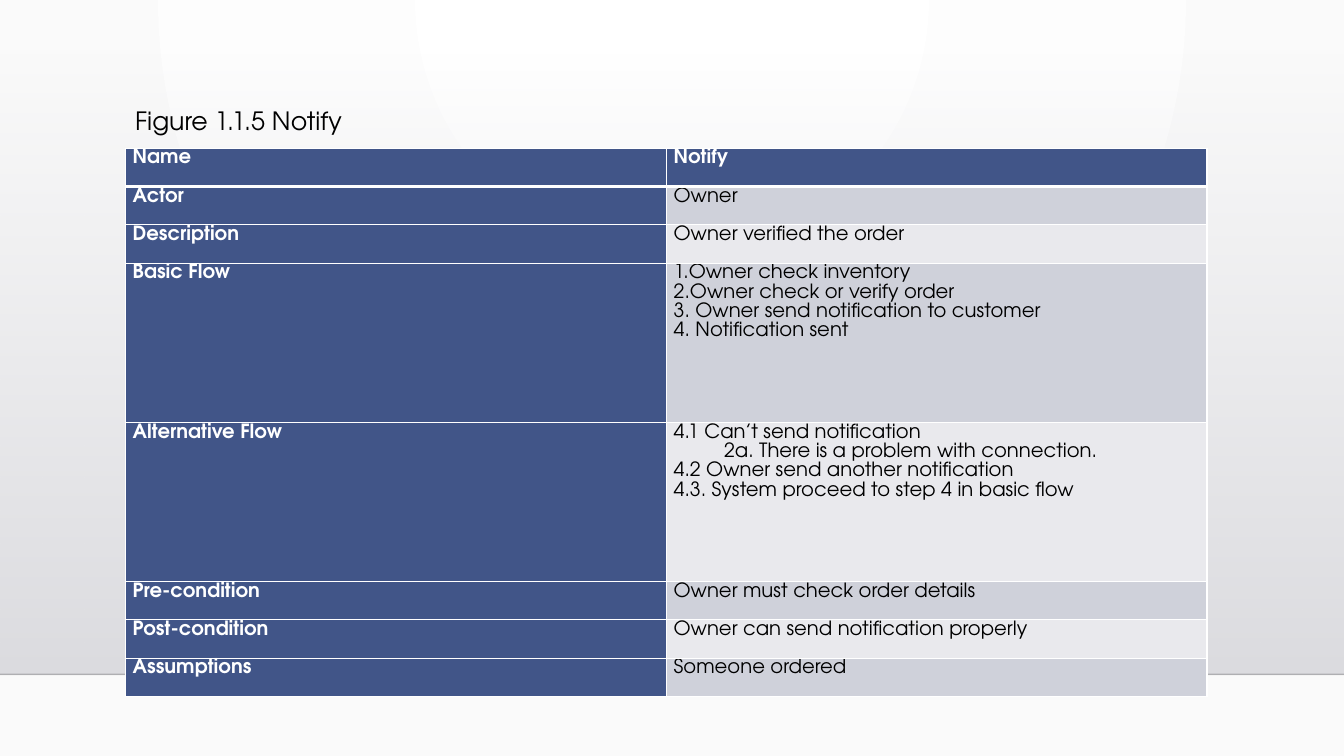
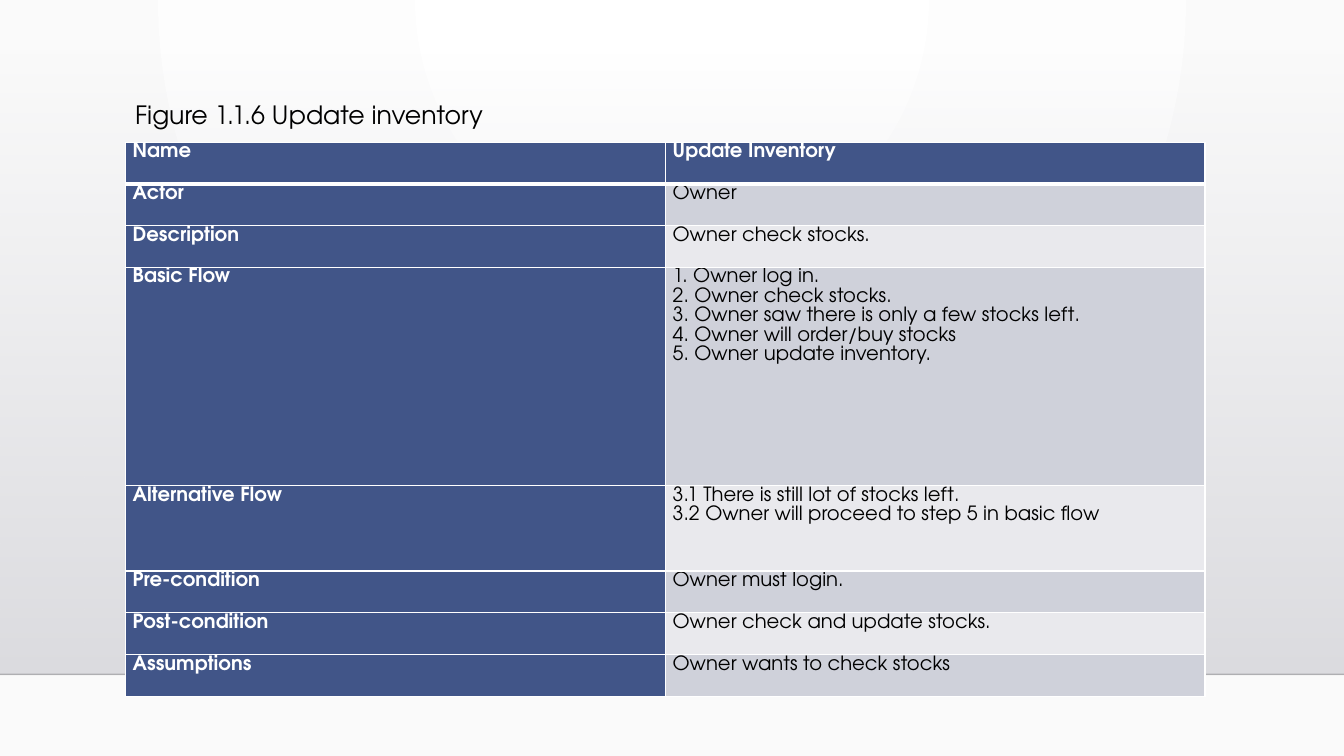
"""Build two use-case slides, each with a caption above a two-column table."""
from lxml.etree import SubElement
from pptx import Presentation
from pptx.dml.color import RGBColor
from pptx.enum.shapes import MSO_CONNECTOR, MSO_SHAPE
from pptx.oxml import parse_xml
from pptx.oxml.ns import nsdecls, qn
from pptx.util import Pt

COLORS = {
    "header": "415588", "odd": "CFD1DA", "even": "E9E9ED",
    "white": "FFFFFF", "black": "000000", "floor": "FAFAFA",
    "panel_top": "DCDCE0", "panel_bottom": "DEDEE2", "horizon": "000001",
}
FONT = "TeX Gyre Adventor"
SLIDE_WIDTH, SLIDE_HEIGHT = 960, 540
PANEL_TOP, HORIZON = 36.7, 481.7
TABLE_LEFT = 89.4
CAPTION_RISE, CAPTION_HEIGHT = 33.9, 51
CELL_MARGINS = {"margin_left": 5.4, "margin_right": 5.4, "margin_top": 0, "margin_bottom": 0}
CELL_INDENT = 36

LABELS = ["Name", "Actor", "Description", "Basic Flow", "Alternative Flow",
          "Pre-condition", "Post-condition", "Assumptions"]
USE_CASES = [
    {
        "caption": "Figure 1.1.5 Notify", "caption_width": 168.5,
        "top": 105.9, "column": 386.4, "row": 27.36,
        "tall_rows": {"Basic Flow": 113.7, "Alternative Flow": 113.7},
        "values": [
            ["Notify"],
            ["Owner"],
            ["Owner verified the order"],
            ["1.Owner check inventory", "2.Owner check or verify order",
             "3. Owner send notification to customer", "4. Notification sent"],
            ["4.1 Can’t send notification",
             ("2a. There is a problem with connection.", CELL_INDENT),
             "4.2 Owner send another notification",
             "4.3. System proceed to step 4 in basic flow"],
            ["Owner must check order details"],
            ["Owner can send notification properly"],
            ["Someone ordered"],
        ],
    },
    {
        "caption": "Figure 1.1.6 Update inventory", "caption_width": 271.5,
        "top": 101.5, "column": 385.7, "row": 29.8,
        "tall_rows": {"Basic Flow": 155.8, "Alternative Flow": 61.2},
        "values": [
            ["Update Inventory"],
            ["Owner"],
            ["Owner check stocks."],
            ["1. Owner log in.", "2. Owner check stocks.",
             "3. Owner saw there is only a few stocks left.",
             "4. Owner will order/buy stocks", "5. Owner update inventory."],
            ["3.1 There is still lot of stocks left.",
             "3.2 Owner will proceed to step 5 in basic flow"],
            ["Owner must login."],
            ["Owner check and update stocks."],
            ["Owner wants to check stocks"],
        ],
    },
]


def rgb(name):
    return RGBColor.from_string(COLORS[name])


def set_gradient(fill, element, stops, direction):
    fill.gradient()
    old = next(element.iter(qn("a:gradFill")))
    stop_xml = "".join(
        f'<a:gs pos="{position * 1000}"><a:srgbClr val="{COLORS[color]}">'
        f'<a:alpha val="{opacity * 1000}"/></a:srgbClr></a:gs>'
        for position, color, opacity in stops)
    new = parse_xml(f'<a:gradFill {nsdecls("a")} rotWithShape="1">'
                    f'<a:gsLst>{stop_xml}</a:gsLst>{direction}</a:gradFill>')
    old.getparent().replace(old, new)


def build_backdrop(layout, slide):
    for placeholder in list(layout.placeholders):
        placeholder.element.getparent().remove(placeholder.element)
    set_gradient(layout.background.fill, layout.element,
                 [(0, "white", 100), (100, "floor", 100)],
                 '<a:path path="circle"><a:fillToRect l="43000" t="0" r="43000" b="100000"/></a:path>')

    panel = slide.shapes.add_shape(MSO_SHAPE.RECTANGLE, 0, Pt(PANEL_TOP),
                                   Pt(SLIDE_WIDTH), Pt(HORIZON - PANEL_TOP))
    panel.shadow.inherit = False
    panel.line.fill.background()
    set_gradient(panel.fill, panel.element,
                 [(0, "panel_top", 0), (100, "panel_bottom", 100)],
                 '<a:lin ang="5400000" scaled="0"/>')

    horizon = slide.shapes.add_connector(MSO_CONNECTOR.STRAIGHT, 0, Pt(HORIZON),
                                         Pt(SLIDE_WIDTH), Pt(HORIZON))
    horizon.line.width = Pt(1)
    horizon.line.color.rgb = rgb("horizon")
    SubElement(next(horizon.element.iter(qn("a:srgbClr"))), qn("a:alpha"), val="20000")
    SubElement(horizon.element.spPr, qn("a:effectLst"))

    for part in (panel, horizon):
        layout.shapes.element.append(part.element)


def write_line(para, text, size, color, bold=False):
    span = para.add_run()
    span.text = text
    for name, value in {"name": FONT, "size": Pt(size), "bold": bold}.items():
        setattr(span.font, name, value)
    span.font.color.rgb = rgb(color)


def set_borders(cell, row):
    widths = {"lnL": 1, "lnR": 1, "lnT": 3 if row == 1 else 1, "lnB": 3 if row == 0 else 1}
    properties = cell._tc.get_or_add_tcPr()
    for index, (tag, width) in enumerate(widths.items()):
        properties.insert(index, parse_xml(
            f'<a:{tag} {nsdecls("a")} w="{Pt(width)}"><a:solidFill>'
            f'<a:srgbClr val="{COLORS["white"]}"/></a:solidFill></a:{tag}>'))


def fill_cell(cell, lines, row, is_header):
    for name, value in CELL_MARGINS.items():
        setattr(cell, name, Pt(value))
    cell.fill.solid()
    cell.fill.fore_color.rgb = rgb("header" if is_header else "odd" if row % 2 else "even")
    set_borders(cell, row)
    for index, line in enumerate(lines):
        text, indent = line if isinstance(line, tuple) else (line, 0)
        frame = cell.text_frame
        para = frame.add_paragraph() if index else frame.paragraphs[0]
        para.line_spacing = 1.07
        if indent:
            para._p.get_or_add_pPr().set("marL", str(Pt(indent)))
        write_line(para, text, 14, "white" if is_header else "black", is_header)


def add_use_case(slide, case):
    heights = [case["tall_rows"].get(label, case["row"]) for label in LABELS]
    table = slide.shapes.add_table(len(LABELS), 2, Pt(TABLE_LEFT), Pt(case["top"]),
                                   Pt(2 * case["column"]), Pt(sum(heights))).table
    for column in table.columns:
        column.width = Pt(case["column"])
    for row, (label, lines, height) in enumerate(zip(LABELS, case["values"], heights)):
        table.rows[row].height = Pt(height)
        fill_cell(table.cell(row, 0), [label], row, True)
        fill_cell(table.cell(row, 1), lines, row, row == 0)

    box = slide.shapes.add_textbox(Pt(TABLE_LEFT), Pt(case["top"] - CAPTION_RISE),
                                   Pt(case["caption_width"]), Pt(CAPTION_HEIGHT))
    box.text_frame.word_wrap = True
    write_line(box.text_frame.paragraphs[0], case["caption"], 18, "black")


def main():
    deck = Presentation()
    deck.slide_width, deck.slide_height = Pt(SLIDE_WIDTH), Pt(SLIDE_HEIGHT)
    layout = deck.slide_layouts[6]
    pages = [deck.slides.add_slide(layout) for _ in USE_CASES]
    build_backdrop(layout, pages[0])
    for page, case in zip(pages, USE_CASES):
        add_use_case(page, case)
    deck.save("out.pptx")


if __name__ == "__main__":
    main()
